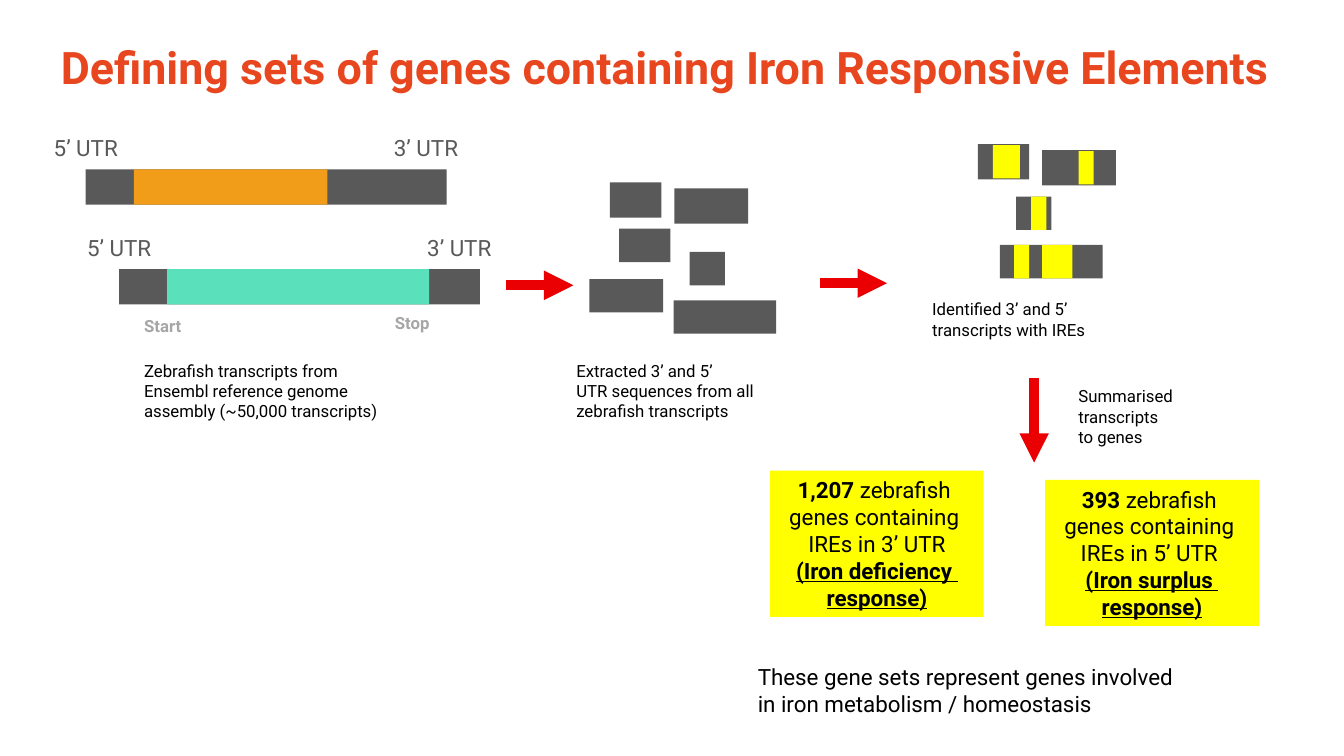
import copy

import pptx
import pptx.dml.color
import pptx.enum.shapes
import pptx.enum.text
import pptx.oxml.ns
import pptx.oxml.xmlchemy
import pptx.util
from lxml import etree

Pt = pptx.util.Pt
RGBColor = pptx.dml.color.RGBColor
ANCHOR = pptx.enum.text.MSO_ANCHOR
AUTO_SIZE = pptx.enum.text.MSO_AUTO_SIZE
CENTER = pptx.enum.text.PP_ALIGN.CENTER
qn = pptx.oxml.ns.qn

ORANGE_RED = RGBColor(0xE8, 0x46, 0x1E)
RED = RGBColor(0xEA, 0x00, 0x03)
GREY = RGBColor(0x59, 0x59, 0x59)
PALE_GREY = RGBColor(0xA6, 0xA6, 0xA6)
AMBER = RGBColor(0xF1, 0x9D, 0x19)
TEAL = RGBColor(0x5A, 0xE0, 0xBB)
YELLOW = RGBColor(0xFF, 0xFF, 0x00)
BLACK = RGBColor(0x00, 0x00, 0x00)

TITLE = {"size": Pt(32), "bold": True}
LARGE = {"size": Pt(16)}
SMALL = {"size": Pt(12)}
CODON = {"size": Pt(12), "bold": True}
COUNT = {"size": Pt(16), "bold": True}
RESPONSE = {"size": Pt(16), "bold": True, "underline": True}

TALL, SHORT = 25.2, 23.8


def write_paragraphs(frame, paragraphs, color, align=None):
    """Fill a text frame with paragraphs, each a list of (text, format) spans."""
    for number, spans in enumerate(paragraphs):
        para = frame.add_paragraph() if number else frame.paragraphs[0]
        para.alignment = align
        for text, values in spans:
            for index, line in enumerate(text.split("\n")):
                if index:
                    para.add_line_break()
                    para._p[-1].append(copy.deepcopy(para.runs[-1]._r.rPr))
                if line:
                    span = para.add_run()
                    span.text = line
                    for name, value in {"name": "Roboto", **values}.items():
                        setattr(span.font, name, value)
                    span.font.color.rgb = color


def add_text(page, box, texts, values, color=BLACK, wrap=False):
    """Add a text box with one paragraph per text."""
    frame = page.shapes.add_textbox(*map(Pt, box)).text_frame
    frame.word_wrap = wrap
    frame.auto_size = AUTO_SIZE.SHAPE_TO_FIT_TEXT
    write_paragraphs(frame, [[(text, values)] for text in texts], color)


def add_block(page, box, color):
    """Add a plain filled rectangle."""
    block = page.shapes.add_shape(
        pptx.enum.shapes.MSO_SHAPE.RECTANGLE, *map(Pt, box))
    block.shadow.inherit = False
    block.fill.solid()
    block.fill.fore_color.rgb = color
    block.line.fill.background()
    return block


def add_arrow(page, left, top, across, down):
    """Add a thick red arrow running from a point by a given offset."""
    arrow = page.shapes.add_connector(
        pptx.enum.shapes.MSO_CONNECTOR.STRAIGHT,
        *map(Pt, (left, top, left + across, top + down)))
    arrow.line.color.rgb = RED
    arrow.line.width = Pt(7)
    etree.SubElement(arrow.line._get_or_add_ln(), qn("a:tailEnd"), type="triangle")
    etree.SubElement(arrow._element.spPr, qn("a:effectLst"))


def add_title(page, box):
    """Place the slide heading in the title placeholder."""
    title = page.shapes.title
    for name, value in zip(("left", "top", "width", "height"), box):
        setattr(title, name, Pt(value))
    frame = title.text_frame
    frame.auto_size = AUTO_SIZE.NONE
    frame.vertical_anchor = ANCHOR.TOP
    heading = "Defining sets of genes containing Iron Responsive Elements "
    write_paragraphs(frame, [[(heading, TITLE)]], ORANGE_RED, CENTER)


def add_transcript(page, left, top, coding_width, color):
    """Draw a transcript bar with its coding region and UTR labels."""
    add_block(page, (left, top, 257.8, TALL), GREY)
    add_block(page, (left + 34.4, top, coding_width, TALL), color)
    for text, offset in (("5’ UTR", -29.9), ("3’ UTR", 213.1)):
        add_text(page, (left + offset, top - 28.8, 94.3, 26.6), [text],
                 LARGE, GREY, wrap=True)


def add_transcripts(page, left, top):
    """Draw both transcripts, the codon labels and the caption."""
    add_transcript(page, left, top, 138.2, AMBER)
    add_transcript(page, left + 23.8, top + 71.2, 187.2, TEAL)
    add_text(page, (left + 34.6, top + 100.8, 44.6, 21.6), ["Start"], CODON, PALE_GREY)
    add_text(page, (left + 213.8, top + 98.6, 42.5, 21.6), ["Stop"], CODON, PALE_GREY)
    add_text(page, (left + 34.6, top + 133.2, 195.8, 51.1),
             ["Zebrafish transcripts from \nEnsembl reference genome",
              "assembly (~50,000 transcripts)"], SMALL)


def add_extracted(page, left, top):
    """Scatter the extracted UTR fragments above their caption."""
    fragments = (
        (14.6, 0, 36.7, TALL), (60.7, 4.3, 52.6, TALL),
        (21.1, 33.1, 36.7, SHORT), (71.5, 49.7, 25.2, SHORT),
        (0, 69.1, 52.6, SHORT), (60, 84.3, 73.4, SHORT))
    for across, down, width, height in fragments:
        add_block(page, (left + across, top + down, width, height), GREY)
    add_text(page, (left - 16.5, top + 123.9, 154.1, 51.1),
             ["Extracted 3’ and 5’",
              "UTR sequences from all \nzebrafish transcripts"], SMALL)


def add_identified(page, left, top):
    """Draw the fragments with highlighted elements above their caption."""
    fragments = (
        (0, 0, 36.7, TALL, ((10.8, 19.4),)),
        (46.1, 4.3, 52.6, TALL, ((25.9, 10.8),)),
        (27.4, 37.4, 25.2, SHORT, ((10.8, 10.8),)),
        (15.8, 72, 73.4, SHORT, ((10.1, 10.8), (30.2, 21.6))))
    for across, down, width, height, elements in fragments:
        add_block(page, (left + across, top + down, width, height), GREY)
        for offset, element_width in elements:
            add_block(page, (left + across + offset, top + down + (height - SHORT) / 2,
                             element_width, SHORT), YELLOW)
    add_text(page, (left - 39.6, top + 107.2, 131.8, 36),
             ["Identified 3’ and 5’\ntranscripts with IREs"], SMALL)


def add_gene_set(page, left, top, count, region, response):
    """Add a yellow result box for one gene set."""
    frame = add_block(page, (left, top, 152.6, 104.4), YELLOW).text_frame
    frame.word_wrap = False
    frame.auto_size = AUTO_SIZE.SHAPE_TO_FIT_TEXT
    frame.vertical_anchor = ANCHOR.MIDDLE
    spans = [(count, COUNT),
             (f"zebrafish \ngenes containing \nIREs in {region}\n", LARGE),
             (f"({response} \nresponse)", RESPONSE)]
    write_paragraphs(frame, [spans], BLACK, CENTER)


def add_results(page, left, top):
    """Place the summary step, both gene sets and the conclusion."""
    add_arrow(page, left + 188.6, top - 66.2, 0, 60.5)
    add_text(page, (left + 213.1, top - 64, 90.7, 51.1),
             ["Summarised \ntranscripts", "to genes"], SMALL)
    add_gene_set(page, left, top, "1,207 ", "3’ UTR", "Iron deficiency")
    add_gene_set(page, left + 196.5, top + 6.5, "393 ", "5’ UTR ", "Iron surplus")
    add_text(page, (left - 15.9, top + 134, 339.1, 46.1),
             ["These gene sets represent genes involved\n"
              "in iron metabolism / homeostasis"], LARGE)


def main():
    """Build and save the deck."""
    deck = pptx.Presentation()
    deck.slide_width, deck.slide_height = Pt(960), Pt(540)
    page = deck.slides.add_slide(deck.slide_layouts[5])
    add_title(page, (-1.4, 24.5, 961.2, 46.1))
    add_transcripts(page, 61.2, 121)
    add_arrow(page, 361.4, 203.8, 48.2, 0)
    add_extracted(page, 421.1, 130.3)
    add_arrow(page, 585.4, 202.3, 48.2, 0)
    add_identified(page, 698.4, 103)
    add_results(page, 550.1, 336.2)
    deck.save("out.pptx")


if __name__ == "__main__":
    main()
